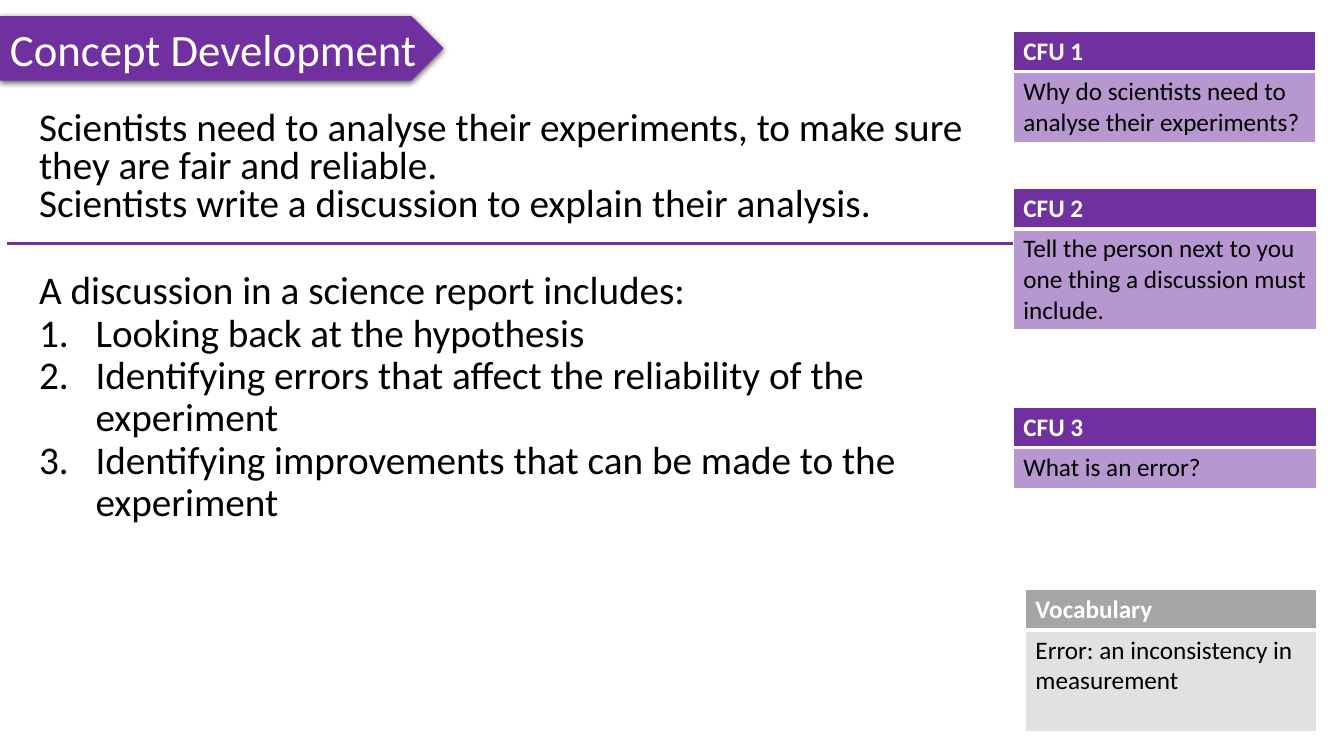
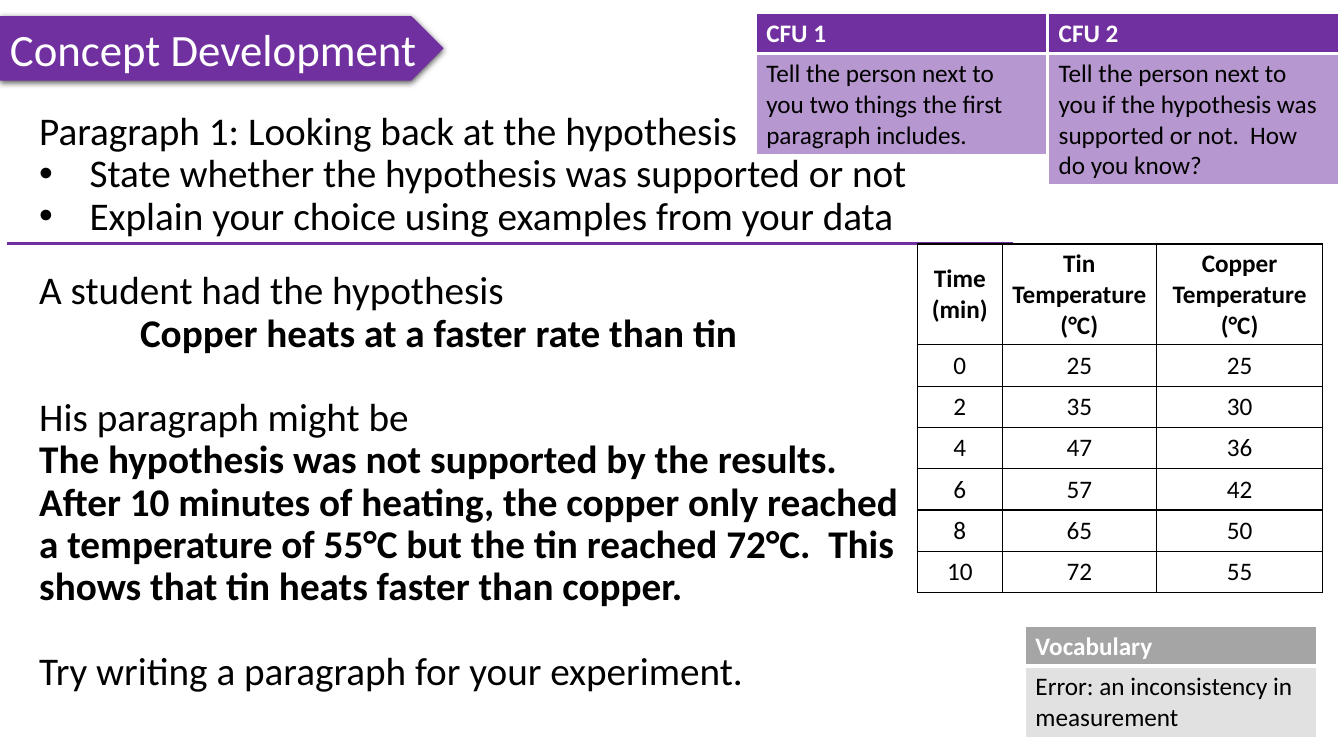
import dataclasses

import pptx
import pptx.dml.color
import pptx.enum.shapes
import pptx.enum.text
import pptx.oxml.ns
import pptx.util
from lxml import etree

Inches, Pt = pptx.util.Inches, pptx.util.Pt
RGB = pptx.dml.color.RGBColor.from_string
qn = pptx.oxml.ns.qn


@dataclasses.dataclass(frozen=True)
class Theme:
    font: str = "Calibri"
    purple: str = "7030A0"
    grey: str = "A5A5A5"
    pale_grey: str = "E1E1E1"
    white: str = "FFFFFF"
    black: str = "000000"
    title_size: int = 32
    body_size: int = 28
    card_size: int = 18
    blank_line: int = 30


@dataclasses.dataclass(frozen=True)
class Line:
    text: str
    bold: bool = False
    bullet: str = ""
    indent: float = 0
    space_before: int = 0


@dataclasses.dataclass(frozen=True)
class CardStyle:
    head: str
    body: str
    body_alpha: int = 100


THEME = Theme()
CFU = CardStyle(THEME.purple, THEME.purple, 50)
VOCABULARY = CardStyle(THEME.grey, THEME.pale_grey)
CARD_HEAD_HEIGHT = 0.4
SIDES = ("L", "R", "T", "B")

TITLE = "Concept Development"
DEFINITION = ("Vocabulary", "Error: an inconsistency in measurement")

# Text: (left, top, width, height), line spacing, lines
# Cards: (left, top, width, height), style, heading, wording
LESSON = [
    {
        "text": [
            ((0.29, 1.06, 9.76, 1.32), 0.8, [
                Line("Scientists need to analyse their experiments, to make sure "
                     "they are fair and reliable."),
                Line("Scientists write a discussion to explain their analysis."),
            ]),
            ((0.29, 2.64, 10.06, 3.44), 0.9, [
                Line("A discussion in a science report includes:"),
                Line("Looking back at the hypothesis", bullet="1.", indent=0.56),
                Line("Identifying errors that affect the reliability of the experiment",
                     bullet="1.", indent=0.56),
                Line("Identifying improvements that can be made to the experiment",
                     bullet="1.", indent=0.56),
            ]),
        ],
        "cards": [
            ((10.17, 5.85, 2.89, 1.41), VOCABULARY, *DEFINITION),
            ((10.05, 0.31, 3, 1.1), CFU, "CFU 1",
             "Why do scientists need to analyse their experiments?"),
            ((10.05, 1.87, 3.01, 1.4), CFU, "CFU 2",
             "Tell the person next to you one thing a discussion must include."),
            ((10.05, 4.04, 3.01, 0.81), CFU, "CFU 3", "What is an error?"),
        ],
    },
    {
        "text": [
            ((0.29, 1.06, 10.06, 1.47), 0.9, [
                Line("Paragraph 1: Looking back at the hypothesis"),
                Line("State whether the hypothesis was supported or not",
                     bullet="•", indent=0.5),
                Line("Explain your choice using examples from your data",
                     bullet="•", indent=0.5),
            ]),
            ((0.29, 2.64, 8.75, 4.53), 0.9, [
                Line("A student had the hypothesis"),
                Line("Copper heats at a faster rate than tin", bold=True, indent=1),
                Line("His paragraph might be", space_before=THEME.blank_line),
                Line("The hypothesis was not supported by the results.  After 10 minutes "
                     "of heating, the copper only reached a temperature of 55°C but the "
                     "tin reached 72°C.  This shows that tin heats faster than copper.",
                     bold=True),
                Line("Try writing a paragraph for your experiment.",
                     space_before=THEME.blank_line),
            ]),
        ],
        "cards": [
            ((10.17, 6.21, 2.89, 1.11), VOCABULARY, *DEFINITION),
            ((7.5, 0.13, 2.88, 1.4), CFU, "CFU 1",
             "Tell the person next to you two things the first paragraph includes."),
            ((10.4, 0.13, 2.88, 1.7), CFU, "CFU 2",
             "Tell the person next to you if the hypothesis was supported or not.  "
             "How do you know?"),
        ],
        "readings": [
            ("Time (min)", "Tin Temperature (°C)", "Copper Temperature (°C)"),
            (0, 25, 25),
            (2, 35, 30),
            (4, 47, 36),
            (6, 57, 42),
            (8, 65, 50),
            (10, 72, 55),
        ],
    },
]


def add_xml(parent, tag, **attributes):
    return etree.SubElement(parent, qn(tag), {k: str(v) for k, v in attributes.items()})


def style_runs(paragraph, size, color, bold=False):
    for run in paragraph.runs:
        run.font.name = THEME.font
        run.font.size = Pt(size)
        run.font.bold = bold
        run.font.color.rgb = RGB(color)


def add_title(slide):
    banner = slide.shapes.add_shape(
        pptx.enum.shapes.MSO_SHAPE.PENTAGON,
        Inches(0), Inches(0.16), Inches(4.4), Inches(0.64))
    banner.fill.solid()
    banner.fill.fore_color.rgb = RGB(THEME.purple)
    banner.line.fill.background()
    banner.shadow.inherit = False
    effects = banner._element.spPr.find(qn("a:effectLst"))
    shadow = add_xml(effects, "a:outerShdw", blurRad=Pt(4.5), dist=Pt(1.5),
                     dir=90 * 60000, algn="t", rotWithShape=0)
    add_xml(add_xml(shadow, "a:srgbClr", val=THEME.black), "a:alpha", val=63000)
    banner.text_frame.word_wrap = False
    banner.text_frame.text = TITLE
    paragraph = banner.text_frame.paragraphs[0]
    paragraph.alignment = pptx.enum.text.PP_ALIGN.LEFT
    style_runs(paragraph, THEME.title_size, THEME.white)


def add_divider(slide):
    divider = slide.shapes.add_connector(
        pptx.enum.shapes.MSO_CONNECTOR.STRAIGHT,
        Inches(0.07), Inches(2.42), Inches(10.05), Inches(2.42))
    divider.line.color.rgb = RGB(THEME.purple)
    divider.line.width = Pt(2.25)
    add_xml(divider._element.spPr, "a:effectLst")


def indent_paragraph(paragraph, line):
    properties = paragraph._p.get_or_add_pPr()
    if line.indent:
        properties.set("marL", str(Inches(line.indent)))
    if line.bullet:
        properties.set("indent", str(-Inches(line.indent)))
        if line.bullet == "1.":
            add_xml(properties, "a:buFont", typeface="+mj-lt")
            add_xml(properties, "a:buAutoNum", type="arabicPeriod")
        else:
            add_xml(properties, "a:buFont", typeface="Arial")
            add_xml(properties, "a:buChar", char=line.bullet)


def add_text(slide, place, spacing, lines):
    frame = slide.shapes.add_textbox(*map(Inches, place)).text_frame
    frame.word_wrap = True
    for index, line in enumerate(lines):
        paragraph = frame.add_paragraph() if index else frame.paragraphs[0]
        paragraph.text = line.text
        indent_paragraph(paragraph, line)
        paragraph.line_spacing = spacing
        if line.space_before:
            paragraph.space_before = Pt(line.space_before)
        style_runs(paragraph, THEME.body_size, THEME.black, line.bold)


def set_borders(cell, color, widths):
    """Draw the cell's left, right, top and bottom edges in points."""
    properties = cell._tc.get_or_add_tcPr()
    for side, width in zip(SIDES, widths):
        edge = add_xml(properties, f"a:ln{side}", w=Pt(width))
        add_xml(add_xml(edge, "a:solidFill"), "a:srgbClr", val=color)


def fill_cell(cell, color, alpha):
    cell.fill.solid()
    cell.fill.fore_color.rgb = RGB(color)
    if alpha < 100:
        tint = cell._tc.tcPr.find(qn("a:solidFill")).find(qn("a:srgbClr"))
        add_xml(tint, "a:alpha", val=alpha * 1000)


def add_grid(slide, left, top, column_widths, row_heights):
    table = slide.shapes.add_table(
        len(row_heights), len(column_widths), Inches(left), Inches(top),
        Inches(sum(column_widths)), Inches(sum(row_heights))).table
    table.horz_banding = False
    for column, width in zip(table.columns, column_widths):
        column.width = Inches(width)
    for row, height in zip(table.rows, row_heights):
        row.height = Inches(height)
    return table


def add_card(slide, place, style, heading, wording):
    left, top, width, height = place
    table = add_grid(slide, left, top, [width],
                     [CARD_HEAD_HEIGHT, height - CARD_HEAD_HEIGHT])
    parts = [
        (heading, style.head, 100, THEME.white, True, (1, 1, 1, 3)),
        (wording, style.body, style.body_alpha, THEME.black, False, (1, 1, 3, 1)),
    ]
    for row, (text, fill, alpha, color, bold, borders) in enumerate(parts):
        cell = table.cell(row, 0)
        cell.text_frame.text = text
        style_runs(cell.text_frame.paragraphs[0], THEME.card_size, color, bold)
        set_borders(cell, THEME.white, borders)
        fill_cell(cell, fill, alpha)


def add_readings(slide, readings):
    table = add_grid(slide, 9.1, 2.42, [0.84, 1.53, 1.65],
                     [0.97] + [0.41] * (len(readings) - 1))
    for row, values in enumerate(readings):
        for column, value in enumerate(values):
            cell = table.cell(row, column)
            cell.margin_left = cell.margin_right = Inches(0.07)
            cell.vertical_anchor = pptx.enum.text.MSO_ANCHOR.MIDDLE
            cell.text_frame.text = str(value)
            paragraph = cell.text_frame.paragraphs[0]
            paragraph.alignment = pptx.enum.text.PP_ALIGN.CENTER
            style_runs(paragraph, THEME.card_size, THEME.black, bold=row == 0)
            set_borders(cell, THEME.black, (1, 1, 1, 1))
            cell.fill.background()


def main():
    deck = pptx.Presentation()
    deck.slide_width, deck.slide_height = Inches(13.33), Inches(7.5)
    for content in LESSON:
        slide = deck.slides.add_slide(deck.slide_layouts[6])
        add_title(slide)
        for passage in content["text"]:
            add_text(slide, *passage)
        add_divider(slide)
        for card in content["cards"]:
            add_card(slide, *card)
        if "readings" in content:
            add_readings(slide, content["readings"])
    deck.save("out.pptx")


if __name__ == "__main__":
    main()
